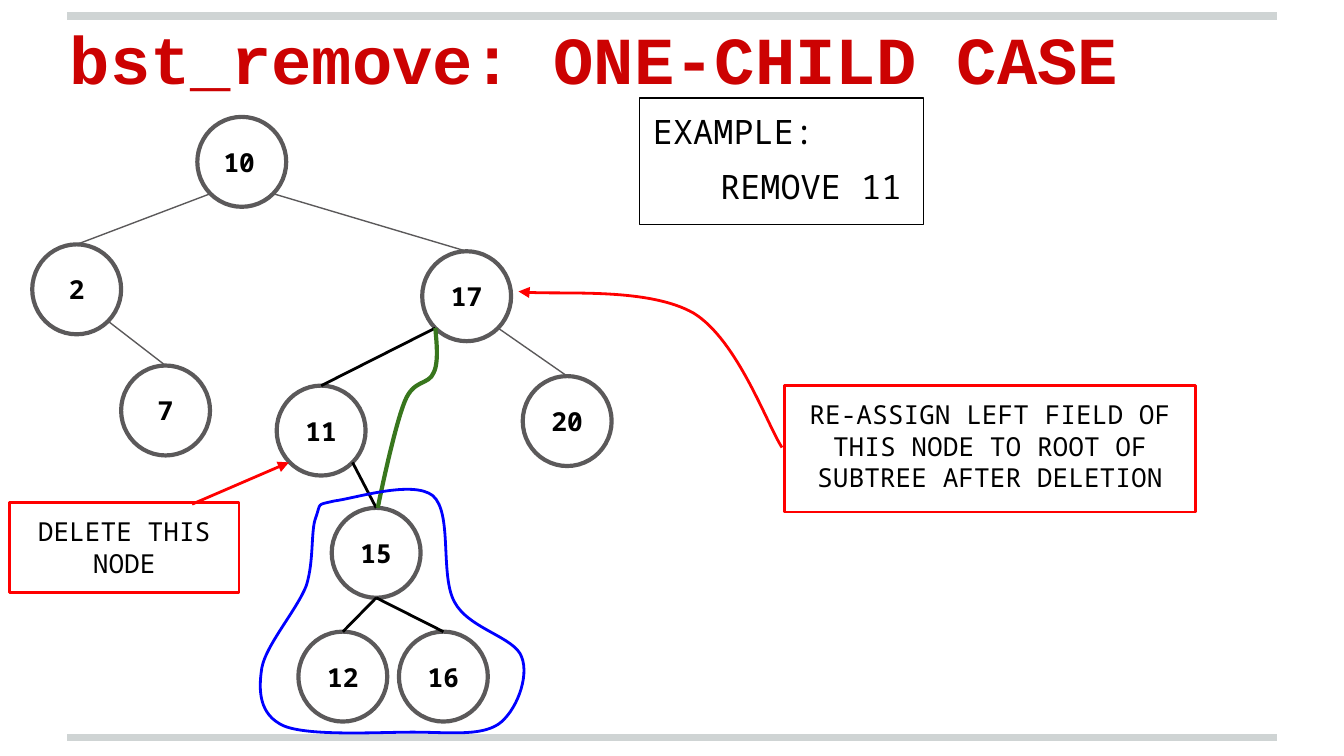
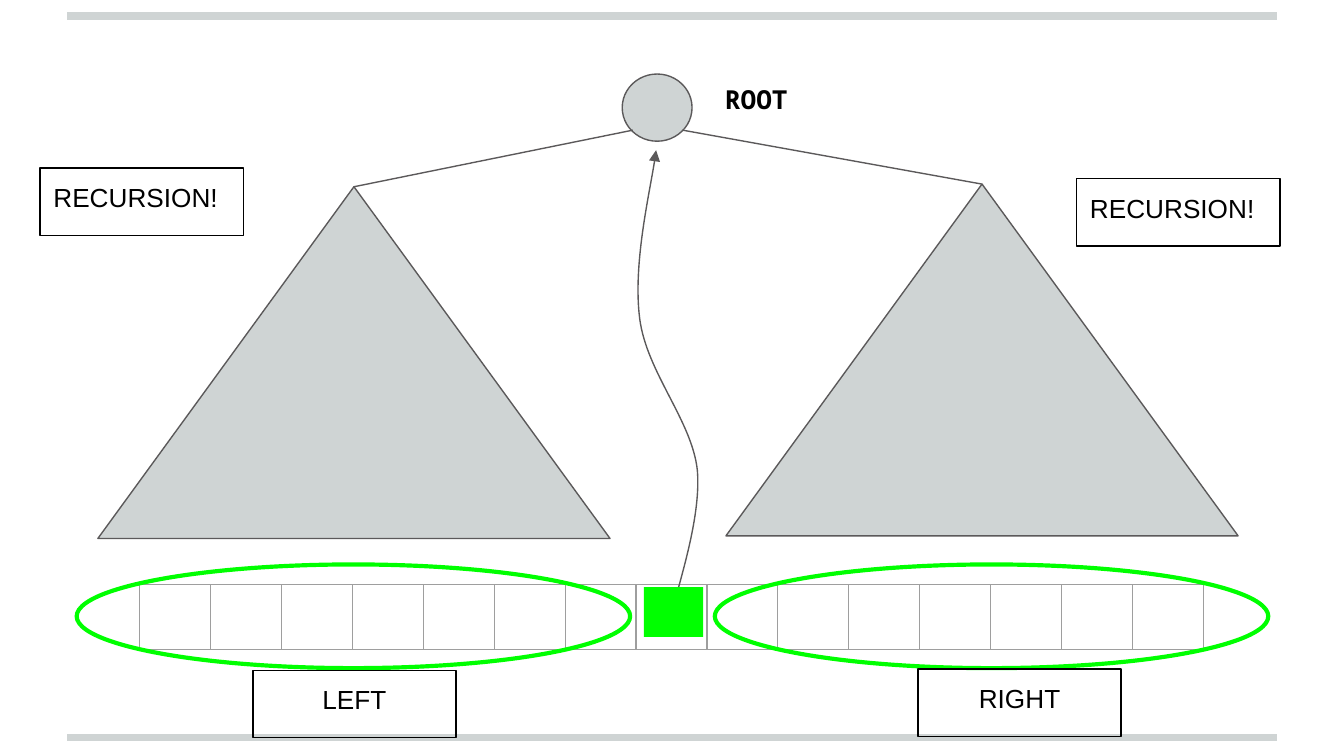
"""Build two slides on binary search trees: removing a one-child node and building a tree from an array."""
import math

import lxml.etree
import pptx
import pptx.dml.color
import pptx.enum.shapes
import pptx.enum.text
import pptx.oxml.ns
import pptx.util

Cm = pptx.util.Cm
Pt = pptx.util.Pt
qn = pptx.oxml.ns.qn
SHAPE = pptx.enum.shapes.MSO_SHAPE
ALIGN = pptx.enum.text.PP_ALIGN
ANCHOR = pptx.enum.text.MSO_ANCHOR
COLORS = {name: pptx.dml.color.RGBColor.from_string(value) for name, value in {
    "title": "CC0202", "silver": "CFD4D4", "gray": "5B595A", "grid": "9E9E9E", "black": "000000",
    "red": "FF0000", "green": "38761D", "lime": "00FF00", "blue": "0000FF"}.items()}
MONO = "Noto Sans Mono"


def place(slide, kind, box, text="", fill=None, line=None, width=0.75, font=MONO, size=14,
          bold=False, color="black", align=ALIGN.CENTER, anchor=ANCHOR.TOP):
    """Add a preset shape, or a text box when kind is None, and style its text."""
    lengths = [Cm(value) for value in box]
    if kind is None:
        shape = slide.shapes.add_textbox(*lengths)
    else:
        shape = slide.shapes.add_shape(kind, *lengths)
        shape.shadow.inherit = False
    if fill:
        shape.fill.solid()
        shape.fill.fore_color.rgb = COLORS[fill]
    else:
        shape.fill.background()
    if line:
        shape.line.color.rgb = COLORS[line]
        shape.line.width = Pt(width)
    else:
        shape.line.fill.background()
    if text:
        frame = shape.text_frame
        frame.word_wrap = True
        frame.vertical_anchor = anchor
        frame.margin_left = frame.margin_right = frame.margin_top = frame.margin_bottom = Cm(0.25)
        frame.text = text
        for paragraph in frame.paragraphs:
            paragraph.alignment = align
            paragraph.font.name = font
            paragraph.font.size = Pt(size)
            paragraph.font.bold = bold
            paragraph.font.color.rgb = COLORS[color]
    return shape


def draw(slide, points, color="gray", width=0.75, arrow=False):
    """Join two points by a connector, or follow a chain of cubic curves through more."""
    spots = [(Cm(x), Cm(y)) for x, y in points]
    if len(spots) == 2:
        stroke = slide.shapes.add_connector(
            pptx.enum.shapes.MSO_CONNECTOR.STRAIGHT, *spots[0], *spots[1])
        lxml.etree.SubElement(stroke._element.spPr, qn("a:effectLst"))
    else:
        builder = slide.shapes.build_freeform(*spots[0])
        builder.add_line_segments(spots[1:], close=spots[0] == spots[-1])
        stroke = builder.convert_to_shape()
        stroke.shadow.inherit = False
        stroke.fill.background()
        segments = list(stroke._element.iter(qn("a:lnTo")))
        for i in range(0, len(segments), 3):
            curve = lxml.etree.Element(qn("a:cubicBezTo"))
            segments[i].addprevious(curve)
            for segment in segments[i:i + 3]:
                curve.append(segment[0])
                segment.getparent().remove(segment)
    stroke.line.color.rgb = COLORS[color]
    stroke.line.width = Pt(width)
    if arrow:
        outline = stroke._element.spPr.find(qn("a:ln"))
        lxml.etree.SubElement(outline, qn("a:tailEnd"), type="triangle")


deck = pptx.Presentation()
deck.slide_width = Cm(25.4)
deck.slide_height = Cm(14.29)
removal, building = [deck.slides.add_slide(deck.slide_layouts[6]) for _ in range(2)]
for slide in (removal, building):
    for y in (13.94, 0.3):
        draw(slide, [(1.27, y), (24.13, y)], "silver", 4)

place(removal, None, (1.07, -0.28, 22.86, 2.39), "bst_remove: ONE-CHILD CASE", font="Courier New",
      size=36, bold=True, color="title", align=ALIGN.LEFT, anchor=ANCHOR.BOTTOM)

NODE_W, NODE_H = 1.68, 1.7
nodes = {10: (3.73, 2.21), 2: (0.61, 4.62), 17: (7.98, 4.75), 7: (2.29, 6.91), 20: (9.88, 7.11),
         11: (5.23, 7.29), 15: (6.27, 9.6), 12: (5.64, 11.94), 16: (7.54, 11.94)}
for key, (x, y) in nodes.items():
    place(removal, SHAPE.OVAL, (x, y, NODE_W, NODE_H), str(key), line="gray", width=2.25, bold=True,
          align=ALIGN.LEFT if key == 10 else ALIGN.CENTER, anchor=ANCHOR.MIDDLE)

plain, affected = ("gray", 0.75), ("black", 1.5)
edges = [(10, 2, -45, plain), (2, 7, 45, plain), (10, 17, 45, plain), (17, 20, 45, plain),
         (17, 11, -45, affected), (11, 15, 45, affected), (15, 12, 0, affected), (15, 16, 0, affected)]
for parent, child, angle, style in edges:
    x, y = nodes[parent]
    turn = math.radians(angle)
    start = (x + NODE_W / 2 * (1 + math.sin(turn)), y + NODE_H / 2 * (1 + math.cos(turn)))
    draw(removal, [start, (nodes[child][0] + NODE_W / 2, nodes[child][1])], *style)

example = place(removal, SHAPE.RECTANGLE, (12.09, 1.85, 5.36, 2.39), "EXAMPLE:\nREMOVE 11",
                line="black", size=18, align=ALIGN.LEFT)
request = example.text_frame.paragraphs[1]
request.space_before = Pt(8)
request._p.get_or_add_pPr().set("marL", str(Cm(1.27)))

place(removal, SHAPE.RECTANGLE, (0.18, 9.5, 4.34, 1.7), "DELETE THIS\nNODE", line="red", width=1.5)
place(removal, SHAPE.RECTANGLE, (14.83, 7.29, 7.77, 2.39),
      "RE-ASSIGN LEFT FIELD OF THIS NODE TO ROOT OF SUBTREE AFTER DELETION", line="red", width=1.5)
draw(removal, [(3.63, 9.53), (5.46, 8.74)], "red", 1.5, arrow=True)

new_link = [(8.23, 6.2), (8.23, 6.32), (8.31, 6.81), (8.2, 7.04), (8.1, 7.29), (7.82, 7.16),
            (7.65, 7.59), (7.47, 8.03), (7.21, 9.25), (7.14, 9.6)]
reassign_pointer = [(14.78, 8.46), (14.5, 8.03), (13.94, 6.43), (13.11, 5.92),
                    (12.27, 5.44), (10.36, 5.59), (9.8, 5.51)]
subtree_outline = [
    (5.97, 9.78), (5.87, 10.03), (5.94, 10.59), (5.79, 11.07), (5.61, 11.53), (5.03, 12.19),
    (4.95, 12.62), (4.88, 13.06), (4.9, 13.51), (5.36, 13.72), (5.84, 13.92), (7.14, 13.84),
    (7.8, 13.84), (8.48, 13.84), (9.07, 13.92), (9.42, 13.69), (9.75, 13.46), (10.01, 12.8),
    (9.86, 12.42), (9.73, 12.04), (8.86, 11.89), (8.59, 11.38), (8.31, 10.87), (8.56, 9.7),
    (8.18, 9.37), (7.8, 9.07), (6.71, 9.42), (6.32, 9.47), (5.97, 9.55), (6.07, 9.5), (5.97, 9.78)]
draw(removal, new_link, "green", 2.25)
draw(removal, reassign_pointer, "red", 1.5, arrow=True)
draw(removal, subtree_outline, "blue", 1.5)

CELLS, CELL_W, CELL_H = 15, 1.34, 1.22
array = building.shapes.add_table(
    1, CELLS, Cm(2.64), Cm(11.05), Cm(CELLS * CELL_W), Cm(CELL_H)).table
array.first_row = array.horz_banding = False
for column in array.columns:
    column.width = Cm(CELL_W)
for cell in array.iter_cells():
    cell.fill.background()
    properties = cell._tc.get_or_add_tcPr()
    for i, side in enumerate(("a:lnL", "a:lnR", "a:lnT", "a:lnB")):
        border = lxml.etree.Element(qn(side), w=str(Pt(0.75)))
        paint = lxml.etree.SubElement(border, qn("a:solidFill"))
        lxml.etree.SubElement(paint, qn("a:srgbClr"), val=str(COLORS["grid"]))
        properties.insert(i, border)

place(building, SHAPE.OVAL, (11.76, 1.4, 1.32, 1.27), fill="silver", line="gray")
middle_to_root = [(12.7, 11.61), (12.78, 11.15), (13.26, 9.83), (13.18, 8.89), (13.08, 7.95),
                  (12.22, 7.04), (12.09, 6.02), (11.96, 5), (12.34, 3.38), (12.4, 2.84)]
draw(building, middle_to_root, arrow=True)
for x in (1.45, 13.51):
    place(building, SHAPE.OVAL, (x, 10.67, 10.46, 1.96), line="lime", width=2.25)
place(building, None, (13.23, 1.17, 2.13, 1.4), "ROOT", bold=True, anchor=ANCHOR.MIDDLE)
place(building, SHAPE.RECTANGLE, (12.17, 11.1, 1.12, 0.94), fill="lime")

SUBTREE_W = 9.68
for x, y, root_x in ((1.85, 3.53, 11.96), (13.72, 3.48, 12.9)):
    place(building, SHAPE.ISOSCELES_TRIANGLE, (x, y, SUBTREE_W, 6.65), fill="silver", line="gray")
    draw(building, [(root_x, 2.46), (x + SUBTREE_W / 2, y)])

for x, y, label, align in ((0.76, 3.18, "RECURSION!", ALIGN.LEFT),
                           (20.35, 3.38, "RECURSION!", ALIGN.LEFT),
                           (4.78, 12.67, "LEFT", ALIGN.CENTER),
                           (17.35, 12.65, "RIGHT", ALIGN.CENTER)):
    place(building, SHAPE.RECTANGLE, (x, y, 3.84, 1.27), label, line="black", font="Arial", align=align)

deck.save("out.pptx")
